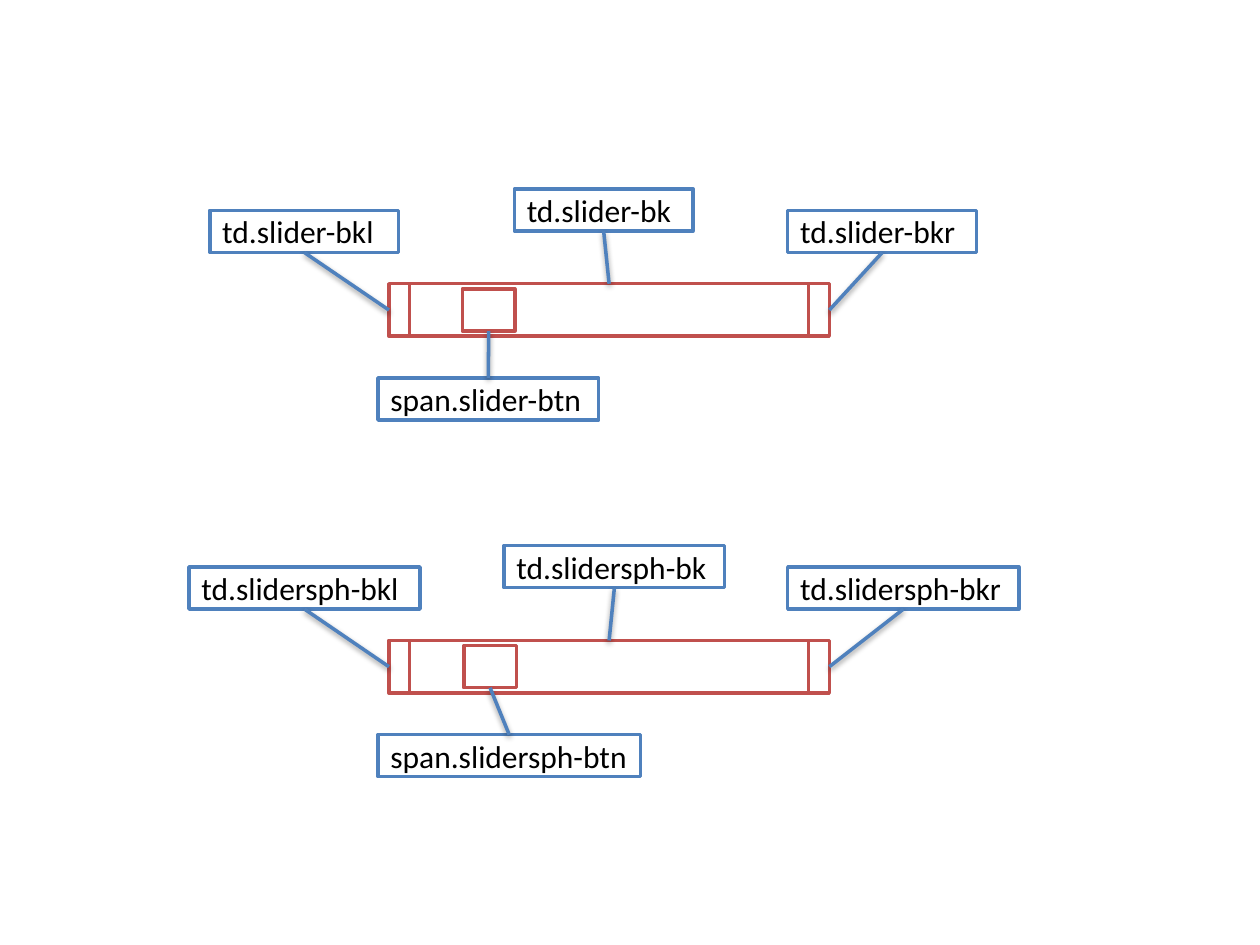
from dataclasses import dataclass

from lxml.etree import SubElement
from pptx import Presentation
from pptx.dml.color import RGBColor
from pptx.enum.shapes import MSO_CONNECTOR as Connector, MSO_SHAPE as Shape
from pptx.enum.text import MSO_ANCHOR as Anchor, PP_ALIGN as Align
from pptx.oxml.ns import qn
from pptx.shapes.autoshape import Shape as AutoShape
from pptx.slide import Slide
from pptx.util import Cm, Pt

RED, BLUE, WHITE, BLACK = "C0504D", "4F81BD", "FFFFFF", "000000"
TOP, LEFT, BOTTOM, RIGHT = range(4)
TRACK_LEFT, TRACK_WIDTH, TRACK_HEIGHT = 8.26, 8.04, 1.06
CAP_WIDTH, THUMB_WIDTH, BOX_HEIGHT = 0.42, 1.06, 0.85


@dataclass(frozen=True)
class Label:
    text: str
    left: float
    rise: float
    width: float
    target: str
    label_side: int
    target_side: int


@dataclass(frozen=True)
class Slider:
    top: float
    thumb_left: float
    labels: tuple[Label, ...]


def make_labels(prefix: str, track: tuple[float, float], button_width: float,
                left_cap_left: float, cap_label_width: float) -> tuple[Label, ...]:
    return (
        Label(f"td.{prefix}-bk", track[0], -1.91, track[1], "track", BOTTOM, TOP),
        Label(f"span.{prefix}-btn", 7.62, 1.9, button_width, "thumb", TOP, BOTTOM),
        Label(f"td.{prefix}-bkl", left_cap_left, -1.48, cap_label_width,
              "left cap", BOTTOM, LEFT),
        Label(f"td.{prefix}-bkr", 15.88, -1.48, cap_label_width,
              "right cap", BOTTOM, RIGHT),
    )


SLIDERS = (
    Slider(12.91, 9.35, make_labels("slidersph", (10.16, 4.45), 5.29, 3.81, 4.66)),
    Slider(5.72, 9.32, make_labels("slider", (10.37, 3.6), 4.45, 4.23, 3.81)),
)


def color(value: str) -> RGBColor:
    return RGBColor.from_string(value)


def add_box(slide: Slide, left: float, top: float, width: float, height: float,
            outline: str) -> AutoShape:
    shape = slide.shapes.add_shape(
        Shape.RECTANGLE, Cm(left), Cm(top), Cm(width), Cm(height))
    shape.shadow.inherit = False
    shape.fill.background()
    shape.line.color.rgb = color(outline)
    shape.line.width = Pt(2)
    return shape


def add_label(slide: Slide, label: Label, slider_top: float) -> AutoShape:
    shape = add_box(slide, label.left, slider_top + label.rise, label.width,
                    BOX_HEIGHT, BLUE)
    shape.fill.solid()
    shape.fill.fore_color.rgb = color(WHITE)
    frame = shape.text_frame
    frame.word_wrap = True
    frame.margin_right = 0
    frame.vertical_anchor = Anchor.MIDDLE
    paragraph = frame.paragraphs[0]
    paragraph.alignment = Align.LEFT
    run = paragraph.add_run()
    run.text = label.text
    run.font.name = "Calibri"
    run.font.size = Pt(18)
    run.font.color.rgb = color(BLACK)
    return shape


def join(slide: Slide, start: AutoShape, start_side: int,
         end: AutoShape, end_side: int) -> None:
    connector = slide.shapes.add_connector(Connector.STRAIGHT, 0, 0, 0, 0)
    connector.begin_connect(start, start_side)
    connector.end_connect(end, end_side)
    connector.line.color.rgb = color(BLUE)
    connector.line.width = Pt(2)
    properties = connector._element.spPr
    effects = SubElement(properties, qn("a:effectLst"))
    shadow = SubElement(effects, qn("a:outerShdw"), blurRad="40000",
                        dist="20000", dir="5400000", rotWithShape="0")
    tint = SubElement(shadow, qn("a:srgbClr"), val=BLACK)
    SubElement(tint, qn("a:alpha"), val="38000")


def add_slider(slide: Slide, slider: Slider) -> None:
    spans = {
        "track": (TRACK_LEFT, TRACK_WIDTH),
        "left cap": (TRACK_LEFT - CAP_WIDTH, CAP_WIDTH),
        "right cap": (TRACK_LEFT + TRACK_WIDTH, CAP_WIDTH),
    }
    pieces = {
        name: add_box(slide, left, slider.top, width, TRACK_HEIGHT, RED)
        for name, (left, width) in spans.items()
    }
    inset = (TRACK_HEIGHT - BOX_HEIGHT) / 2
    pieces["thumb"] = add_box(slide, slider.thumb_left, slider.top + inset,
                              THUMB_WIDTH, BOX_HEIGHT, RED)
    for label in slider.labels:
        box = add_label(slide, label, slider.top)
        join(slide, box, label.label_side, pieces[label.target], label.target_side)


def main() -> None:
    presentation = Presentation()
    presentation.slide_width = Cm(25.4)
    presentation.slide_height = Cm(19.05)
    slide = presentation.slides.add_slide(presentation.slide_layouts[6])
    for slider in SLIDERS:
        add_slider(slide, slider)
    presentation.save("out.pptx")


if __name__ == "__main__":
    main()
